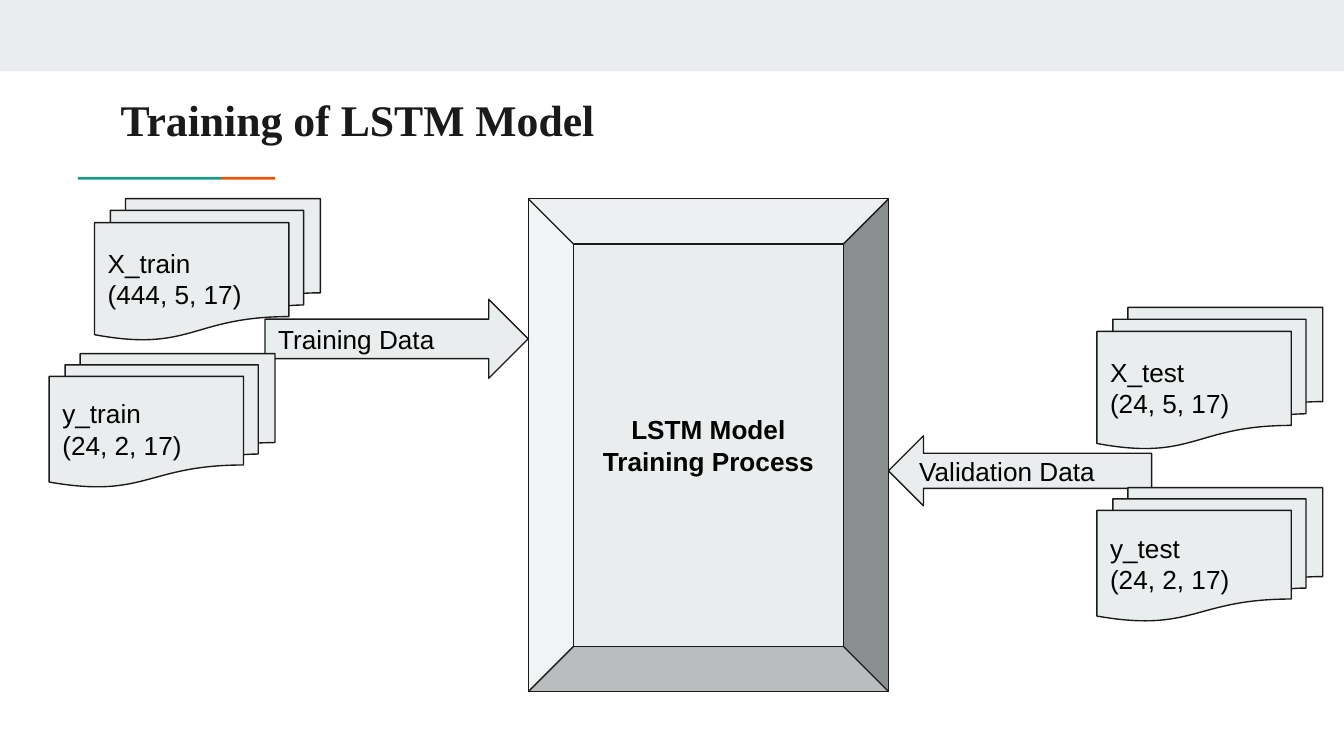
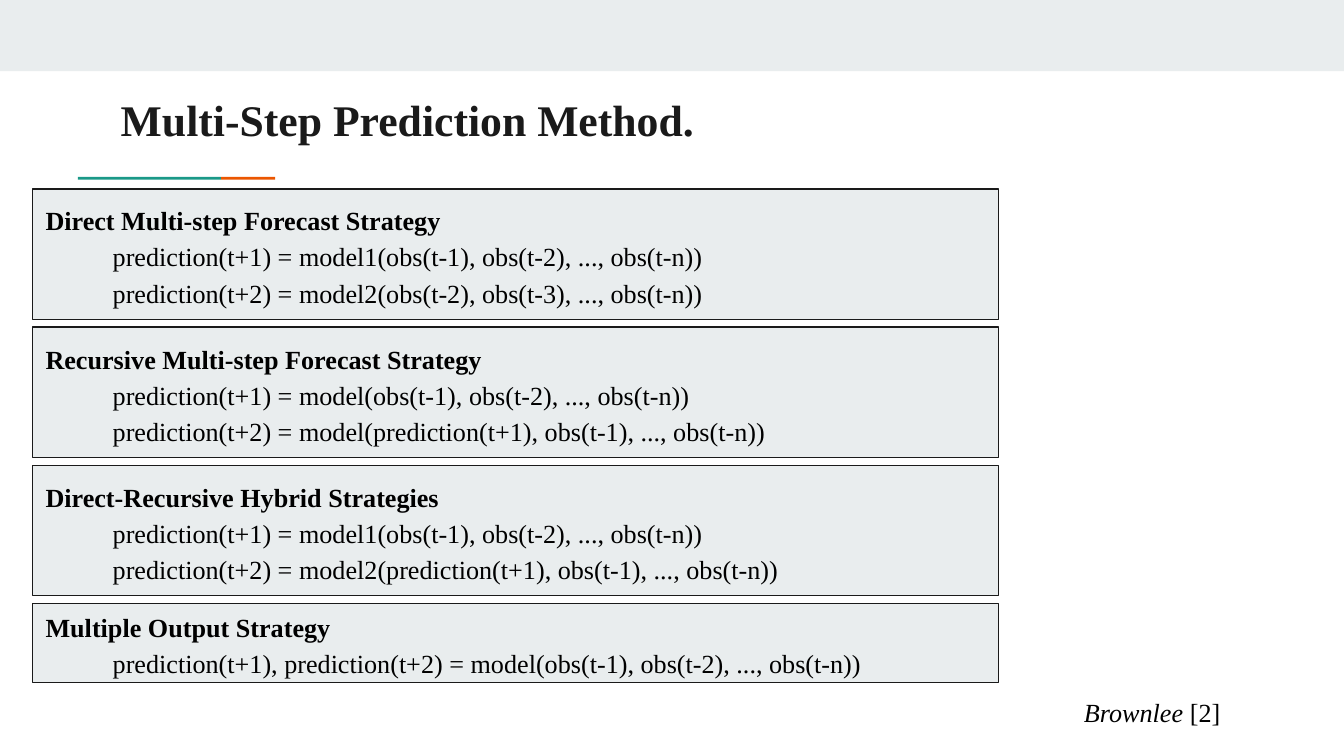
from pptx import Presentation
from pptx.dml.color import RGBColor
from pptx.enum import shapes, text
from pptx.util import Pt

COLORS = {"panel": "E9EDEE", "ink": "1A1A1A", "text": "000000",
          "teal": "1A9988", "orange": "EB5600"}
SANS, SERIF = "Arial", "Times New Roman"
MSO = shapes.MSO_SHAPE
ANCHOR = text.MSO_ANCHOR
ALIGN = text.PP_ALIGN


def rgb(name):
    return RGBColor.from_string(COLORS[name])


class Deck:
    inset = Pt(7.2)
    size = 14

    def __init__(self):
        self.prs = Presentation()
        self.prs.slide_width, self.prs.slide_height = Pt(720), Pt(405)
        self.s = None

    def slide(self, title):
        self.s = self.prs.slides.add_slide(self.prs.slide_layouts[6])
        self.shape(MSO.RECTANGLE, 0, 0, 720, 38.2, line=False)
        self.shape(MSO.RECTANGLE, 41.8, 94.8, 76.6, 1.5, "teal", False)
        self.shape(MSO.RECTANGLE, 118.4, 94.8, 29, 1.5, "orange", False)
        tf = self.textbox(57.6, 42.5, 605.5, 42.5, ANCHOR.BOTTOM)
        self.run(tf.paragraphs[0], title, SERIF, 23.4, "ink", bold=True)

    def shape(self, kind, x, y, w, h, fill="panel", line=True):
        sp = self.s.shapes.add_shape(kind, Pt(x), Pt(y), Pt(w), Pt(h))
        sp.shadow.inherit = False
        sp.fill.solid()
        sp.fill.fore_color.rgb = rgb(fill)
        if line:
            sp.line.color.rgb = rgb("ink")
            sp.line.width = Pt(0.75)
        else:
            sp.line.fill.background()
        return sp

    def frame(self, sp, anchor):
        tf = sp.text_frame
        tf.word_wrap = True
        tf.vertical_anchor = anchor
        tf.margin_left = tf.margin_right = self.inset
        tf.margin_top = tf.margin_bottom = self.inset
        return tf

    def textbox(self, x, y, w, h, anchor=ANCHOR.TOP):
        sp = self.s.shapes.add_textbox(Pt(x), Pt(y), Pt(w), Pt(h))
        return self.frame(sp, anchor)

    def run(self, p, words, font, size=size, color="text", bold=False, italic=False):
        r = p.add_run()
        r.text = words
        r.font.name, r.font.size = font, Pt(size)
        r.font.bold, r.font.italic = bold, italic
        r.font.color.rgb = rgb(color)

    def paragraphs(self, tf, lines, align=ALIGN.LEFT):
        for i, _ in enumerate(lines):
            p = tf.add_paragraph() if i else tf.paragraphs[0]
            p.alignment = align
            yield p

    def label(self, kind, x, y, w, h, lines, align=ALIGN.LEFT, bold=False):
        sp = self.shape(kind, x, y, w, h)
        tf = self.frame(sp, ANCHOR.MIDDLE)
        for p, line in zip(self.paragraphs(tf, lines, align), lines):
            self.run(p, line, SANS, bold=bold)
        return sp

    def strategy(self, x, y, w, h, heading, formulas):
        tf = self.frame(self.shape(MSO.RECTANGLE, x, y, w, h), ANCHOR.MIDDLE)
        lines = [heading, *formulas]
        for i, p in enumerate(self.paragraphs(tf, lines)):
            p.line_spacing = 1.15
            if i:
                pPr = p._p.get_or_add_pPr()
                pPr.set("marL", str(Pt(36)))
                pPr.set("indent", "0")
            self.run(p, lines[i], SERIF, bold=i == 0)


def training_slide(d):
    d.slide("Training of LSTM Model")
    model = d.label(MSO.BEVEL, 283, 106.5, 193, 264,
                    ["LSTM Model", "Training Process"], ALIGN.CENTER, True)
    model.adjustments[0] = 0.125
    d.label(MSO.RIGHT_ARROW, 142, 160.4, 141, 42.3, ["Training Data"])
    d.label(MSO.LEFT_ARROW, 476, 233.5, 141, 37.5, ["Validation Data"])
    for x, y, h, name, dims in [
        (50.6, 106.4, 75.8, "X_train", "(444, 5, 17)"),
        (26.3, 189.5, 71.5, "y_train", "(24, 2, 17)"),
        (587.6, 164.7, 75.8, "X_test", "(24, 5, 17)"),
        (587.6, 261.3, 71.5, "y_test", "(24, 2, 17)"),
    ]:
        d.label(MSO.FLOWCHART_MULTIDOCUMENT, x, y, 121, h, [name, dims])


def prediction_slide(d):
    d.slide("Multi-Step Prediction Method.")
    strategies = [
        ("Direct Multi-step Forecast Strategy",
         ["prediction(t+1) = model1(obs(t-1), obs(t-2), ..., obs(t-n))",
          "prediction(t+2) = model2(obs(t-2), obs(t-3), ..., obs(t-n))"]),
        ("Recursive Multi-step Forecast Strategy",
         ["prediction(t+1) = model(obs(t-1), obs(t-2), ..., obs(t-n))",
          "prediction(t+2) = model(prediction(t+1), obs(t-1), ..., obs(t-n))"]),
        ("Direct-Recursive Hybrid Strategies",
         ["prediction(t+1) = model1(obs(t-1), obs(t-2), ..., obs(t-n))",
          "prediction(t+2) = model2(prediction(t+1), obs(t-1), ..., obs(t-n))"]),
        ("Multiple Output Strategy",
         ["prediction(t+1), prediction(t+2) = model(obs(t-1), obs(t-2), ..., obs(t-n))"]),
    ]
    y, gap = 101.3, 4.2
    for heading, formulas in strategies:
        h = 69.8 if len(formulas) == 2 else 42.3
        d.strategy(17.3, y, 517.7, h, heading, formulas)
        y += h + gap
    p = d.textbox(573.6, 365.8, 114.5, 31.7).paragraphs[0]
    d.run(p, "Brownlee", SERIF, italic=True)
    d.run(p, " [2]", SERIF)


def main():
    d = Deck()
    training_slide(d)
    prediction_slide(d)
    d.prs.save("out.pptx")


if __name__ == "__main__":
    main()
